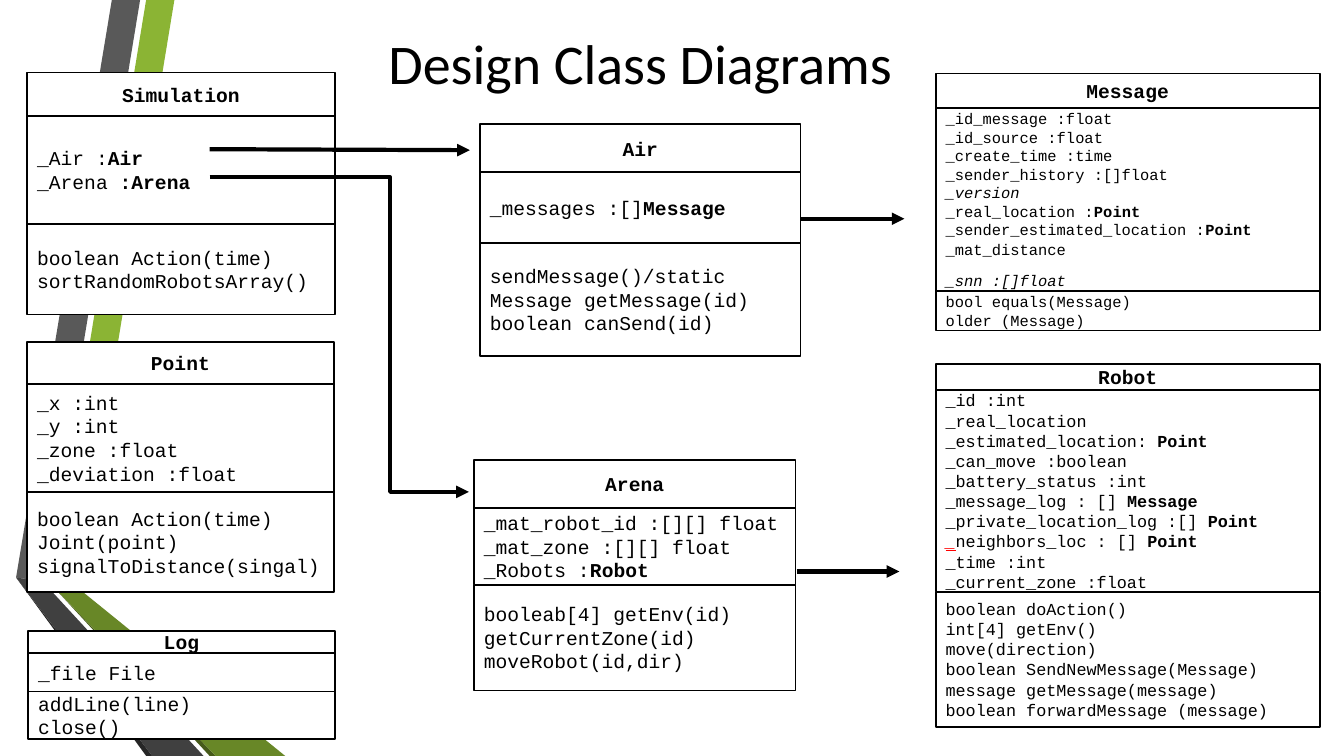
"""Build the slide of design class diagrams."""
from lxml import etree
from pptx import Presentation, util as u
from pptx.dml import color
from pptx.enum import shapes, text
from pptx.oxml import ns

COLORS = {"ink": "000000", "paper": "FFFFFF", "alert": "FF0000",
          "lime": "8BB434", "olive": "688727", "moss": "465A1A",
          "gray": "595959", "dark": "404040", "coal": "262626"}


def rgb(name):
    """Return the named colour."""
    return color.RGBColor.from_string(COLORS[name])


class Diagram:
    """Hold the style and the current slide."""

    title_font, code_font = "Calibri", "Courier New"
    border, arrow_width, name_size = 1.25, 3, 14

    def __init__(self, slide):
        """Keep the slide to draw on."""
        self.slide = slide

    def add_runs(self, paragraph, runs, size, font, style="plain"):
        """Add runs, each a string or a (string, style) pair."""
        for part in [runs] if isinstance(runs, str) else runs:
            words, kind = (part, style) if isinstance(part, str) else part
            run = paragraph.add_run()
            run.text = words
            run.font.size, run.font.name = u.Pt(size), font
            run.font.bold = kind in ("type", "flagged")
            run.font.italic = kind in ("optional", "flagged")
            run.font.underline = kind == "flagged"
            run.font.color.rgb = rgb("alert" if kind == "flagged" else "ink")

    def title(self, words, left, top, width, height):
        """Add the centred heading."""
        box = self.slide.shapes.add_textbox(*map(u.Inches, (left, top, width, height)))
        box.text_frame.word_wrap = True
        heading = box.text_frame.paragraphs[0]
        heading.alignment = text.PP_ALIGN.CENTER
        self.add_runs(heading, words, 40, self.title_font)

    def compartment(self, place, lines, size, header=False, loose=0):
        """Add one bordered part of a class, its last lines loosely spaced."""
        box = self.slide.shapes.add_shape(shapes.MSO_SHAPE.RECTANGLE, *map(u.Inches, place))
        box.shadow.inherit = False
        box.fill.solid()
        box.fill.fore_color.rgb = rgb("paper")
        box.line.color.rgb, box.line.width = rgb("ink"), u.Pt(self.border)
        frame = box.text_frame
        frame.word_wrap, frame.vertical_anchor = True, text.MSO_ANCHOR.MIDDLE
        for index, runs in enumerate(lines):
            paragraph = frame.add_paragraph() if index else frame.paragraphs[0]
            paragraph.alignment = text.PP_ALIGN.CENTER if header else text.PP_ALIGN.LEFT
            if index >= len(lines) - loose:
                paragraph.line_spacing, paragraph.space_after = 1.07, u.Pt(8)
            self.add_runs(paragraph, runs, size, self.code_font, "type" if header else "plain")

    def uml_class(self, name, left, width, edges, fields, methods, size=14, loose=0):
        """Stack name, fields and methods between the given edges."""
        parts = [([name], self.name_size, True, 0), (fields, size, False, loose),
                 (methods, size, False, 0)]
        for top, bottom, part in zip(edges, edges[1:], parts):
            self.compartment((left, top, width, bottom - top), *part)

    def outline(self, points, closed):
        """Add a freeform through the points."""
        start, *rest = [tuple(map(u.Inches, point)) for point in points]
        builder = self.slide.shapes.build_freeform(*start)
        builder.add_line_segments(rest, close=closed)
        shape = builder.convert_to_shape()
        shape.shadow.inherit = False
        return shape

    def ribbon(self, fill, points):
        """Add one filled facet of the decoration."""
        facet = self.outline(points, True)
        facet.fill.solid()
        facet.fill.fore_color.rgb = rgb(fill)
        facet.line.fill.background()

    def arrow(self, *points):
        """Add a straight or bent arrow through the points."""
        if len(points) == 2:
            ends = [u.Inches(value) for point in points for value in point]
            link = self.slide.shapes.add_connector(shapes.MSO_CONNECTOR.STRAIGHT, *ends)
            etree.SubElement(link._element.spPr, ns.qn("a:effectLst"))
        else:
            link = self.outline(points, False)
            link.fill.background()
        link.line.color.rgb, link.line.width = rgb("ink"), u.Pt(self.arrow_width)
        border = link._element.spPr.find(ns.qn("a:ln"))
        etree.SubElement(border, ns.qn("a:tailEnd"), type="triangle")


RIBBONS = [
    ("lime", [(0.5, 5.78), (0.77, 5.83), (1.73, 0), (1.45, 0)]),
    ("gray", [(1.39, 0), (1.11, 0), (0.16, 5.73), (0.44, 5.77)]),
    ("coal", [(0.16, 5.73), (1.45, 7.5), (1.51, 7.5)]),
    ("moss", [(0.5, 5.79), (2.08, 7.5), (2.14, 7.5)]),
    ("olive", [(0.5, 5.79), (2.14, 7.5), (2.83, 7.5), (0.77, 5.83), (0.5, 5.78)]),
    ("dark", [(2.02, 7.5), (0.48, 5.83), (0.44, 5.77), (0.16, 5.73), (1.51, 7.5)]),
]
POINT, MESSAGE = ("Point", "type"), ("Message", "type")
CLASSES = [
    ("Log", 0.28, 3.04, (6.26, 6.48, 6.86, 7.33),
     ["_file File"], ["addLine(line)", "close()"]),
    ("Point", 0.27, 3.04, (3.39, 3.81, 4.88, 5.87),
     ["_x :int", "_y :int", "_zone :float", "_deviation :float"],
     ["boolean Action(time)", "Joint(point)", "signalToDistance(singal)"]),
    ("Simulation", 0.27, 3.05, (0.72, 1.15, 2.22, 3.12),
     [["_Air :", ("Air", "type")], ["_Arena", (" :Arena", "type")]],
     ["boolean Action(time)", "sortRandomRobotsArray()"]),
    ("Robot", 9.28, 3.81, (3.61, 3.87, 5.87, 7.21),
     ["_id :int", "_real_location", ["_estimated_location: ", POINT],
      "_can_move :boolean", "_battery_status :int", ["_message_log : [] ", MESSAGE],
      ["_private_location_log :[] ", POINT],
      [("_", "flagged"), "neighbors_loc : [] ", POINT],
      "_time :int", "_current_zone :float"],
     ["boolean doAction()", "int[4] getEnv()", "move(direction)",
      "boolean SendNewMessage(Message)", "message getMessage(message)",
      "boolean forwardMessage (message)"], 12),
    ("Message", 9.28, 3.81, (0.73, 1.07, 2.89, 3.28),
     ["_id_message :float", "_id_source :float", "_create_time :time",
      "_sender_history :[]float", [("_version", "optional")],
      ["_real_location :", POINT], ["_sender_estimated_location :", POINT],
      "_mat_distance", [("_snn :[]float", "optional")]],
     ["bool equals(Message)", "older (Message)"], 11, 2),
    ("Arena", 4.7, 3.19, (4.56, 5.04, 5.8, 6.85),
     ["_mat_robot_id :[][] float", "_mat_zone :[][] float",
      ["_Robots :", ("Robot", "type")]],
     ["booleab[4] getEnv(id)", "getCurrentZone(id) moveRobot(id,dir)"]),
    ("Air", 4.76, 3.18, (1.23, 1.71, 2.41, 3.53),
     [["_messages :[]", MESSAGE]],
     ["sendMessage()/static", "Message getMessage(id)", "boolean canSend(id)"]),
]
ARROWS = [
    [(2.08, 1.48), (4.66, 1.49)],
    [(2.08, 1.76), (3.87, 1.76), (3.87, 4.88), (4.65, 4.88)],
    [(7.9, 5.67), (8.92, 5.67)],
    [(7.94, 2.17), (8.97, 2.17)],
]

deck = Presentation()
deck.slide_width, deck.slide_height = u.Inches(13.33), u.Inches(7.5)
diagram = Diagram(deck.slides.add_slide(deck.slide_layouts[6]))
for facet in RIBBONS:
    diagram.ribbon(*facet)
diagram.title("Design Class Diagrams", 0.87, 0.23, 10.96, 1)
for entry in CLASSES:
    diagram.uml_class(*entry)
for route in ARROWS:
    diagram.arrow(*route)
deck.save("out.pptx")
